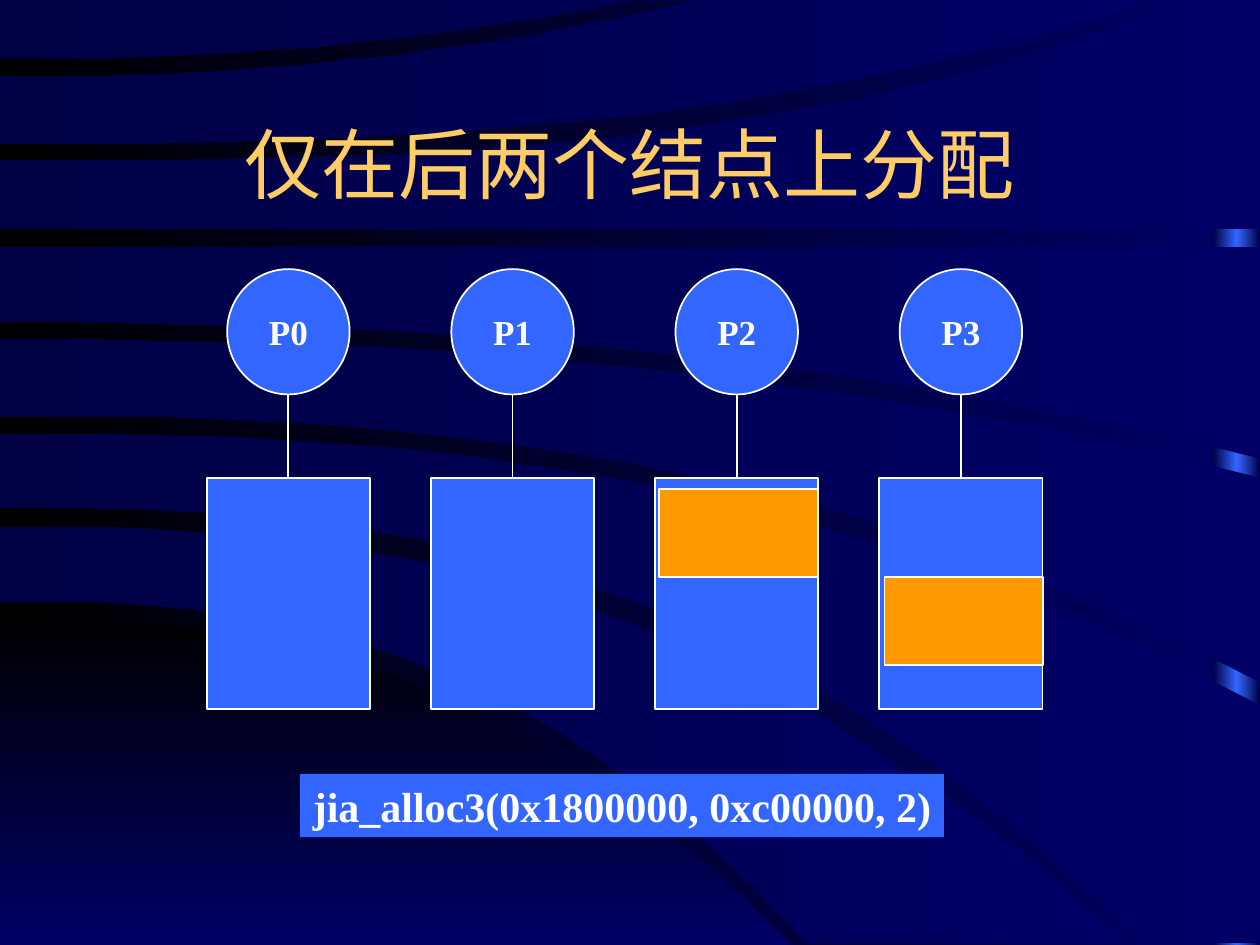
from copy import deepcopy
from typing import NamedTuple

from pptx import Presentation
from pptx import util as u
from pptx.dml import color
from pptx.enum import shapes, text
from pptx.oxml import ns, xmlchemy

WIDE, HIGH = 720, 540
NAVY, DUSK, BLACK = "000066", "000044", "000000"
BLUE, GOLD, AMBER, WHITE = "3366FF", "FFCC66", "FF9900", "FFFFFF"
SERIF = "Times New Roman"
STEPS = 16


class Edge(NamedTuple):
    """A curve from the left side, level at first; bow sets how late it bends."""
    start: float
    end: float
    far: float = WIDE
    bow: float = 2.5

    def points(self) -> list:
        rise = self.end - self.start
        return [(self.far * i / STEPS, self.start + rise * (i / STEPS) ** self.bow)
                for i in range(STEPS + 1)]


class Node(NamedTuple):
    name: str
    left: float


class Box(NamedTuple):
    left: float
    top: float
    wide: float
    high: float


def flat(level: float) -> Edge:
    return Edge(level, level)


FLOOR = Edge(354, HIGH, 452)
BANDS = [
    (Edge(301, 539, 643), Edge(343.5, 539, 462, 2.6)),
    (Edge(248, 403), Edge(290, 539, 654, 2.6)),
    (Edge(194, 273, bow=2.3), Edge(237.5, 390)),
    (flat(141), Edge(184, 262, bow=2.3)),
    (Edge(92, 0, 679, 2.9), flat(131)),
    (Edge(44, 0, 400, 2.2), Edge(82, 0, 660, 2.7)),
    (flat(0), Edge(34, 0, 361, 2.2)),
]

NODES = [Node(f"P{i}", 118.2 + 128.1 * i) for i in range(4)]
BLOCKS = [Box(376.4 + 129 * i, 279.3 + 50.4 * i, 90.8, 50.4) for i in range(2)]


def rgb(code: str) -> color.RGBColor:
    return color.RGBColor.from_string(code)


def blend(fill, root, codes: list, angle: int) -> None:
    """Give evenly spaced gradient stops to the fill held in root."""
    fill.gradient()
    fill.gradient_angle = angle
    stops = root.find(".//" + ns.qn("a:gsLst"))
    while len(stops) < len(codes):
        stops.append(deepcopy(stops[0]))
    for i, (stop, code) in enumerate(zip(fill.gradient_stops, codes)):
        stop.color.rgb = rgb(code)
        stop.position = i / (len(codes) - 1)


def draw_area(slide, points: list, codes: list, angle: int) -> None:
    first, *rest = points
    pen = slide.shapes.build_freeform(*first, scale=u.Pt(1))
    pen.add_line_segments(rest, close=True)
    shape = pen.convert_to_shape()
    shape.shadow.inherit = False
    shape.line.fill.background()
    blend(shape.fill, shape._element.spPr, codes, angle)


def draw_band(slide, top: Edge, low: Edge) -> None:
    points = top.points()
    under = low.points()
    if low.end == HIGH - 1 and low.far < top.far == WIDE:
        under.append((WIDE, low.end))  # run along the bottom to the right side
    if top.end == 0 and low.far == WIDE:
        points.append((WIDE, 0))  # run along the top to the right side
    draw_area(slide, points + under[::-1], [NAVY, DUSK], 180)


def draw_shape(slide, kind, box: Box, code: str, edge: bool = True):
    shape = slide.shapes.add_shape(kind, *map(u.Pt, box))
    shape.shadow.inherit = False
    shape.fill.solid()
    shape.fill.fore_color.rgb = rgb(code)
    if edge:
        shape.line.color.rgb = rgb(WHITE)
        shape.line.width = u.Pt(1)
    else:
        shape.line.fill.background()
    return shape


def write(shape, words: str, size: int, font: str, code: str, bold: bool) -> None:
    frame = shape.text_frame
    frame.text = words
    frame.vertical_anchor = text.MSO_ANCHOR.MIDDLE
    line = frame.paragraphs[0]
    line.alignment = text.PP_ALIGN.CENTER
    face = line.runs[0].font
    face.size, face.name, face.bold = u.Pt(size), font, bold
    face.color.rgb = rgb(code)


def label(shape, words: str, size: int) -> None:
    write(shape, words, size, SERIF, WHITE, True)
    shape.text_frame.word_wrap = False


def draw_node(slide, node: Node) -> None:
    """Draw a processor, its memory and the line between them."""
    kind = shapes.MSO_SHAPE
    disc = Box(node.left + 11.6, 153.8, 70, 71.6)
    store = Box(node.left, 273.3, 93.2, 131.8)
    label(draw_shape(slide, kind.OVAL, disc, BLUE), node.name, 20)
    memory = draw_shape(slide, kind.RECTANGLE, store, BLUE)
    mid = u.Pt(store.left + store.wide / 2)
    link = slide.shapes.add_connector(
        shapes.MSO_CONNECTOR.STRAIGHT, mid, u.Pt(disc.top + disc.high),
        mid, u.Pt(store.top))
    link.end_connect(memory, 0)
    link.line.color.rgb = rgb(WHITE)
    link.line.width = u.Pt(1)
    link._element.spPr.append(xmlchemy.OxmlElement("a:effectLst"))


def draw_back(slide) -> None:
    blend(slide.background.fill, slide._element, [NAVY, BLACK], 180)
    strip = draw_shape(slide, shapes.MSO_SHAPE.RECTANGLE,
                       Box(693.4, 0, WIDE - 693.4, HIGH), BLUE, edge=False)
    blend(strip.fill, strip._element.spPr, [DUSK, BLUE, DUSK], 180)
    draw_area(slide, FLOOR.points() + [(0, HIGH)], [BLACK, NAVY], 270)
    for top, low in BANDS:
        draw_band(slide, top, low)


def main() -> None:
    deck = Presentation()
    deck.slide_width, deck.slide_height = u.Pt(WIDE), u.Pt(HIGH)
    slide = deck.slides.add_slide(deck.slide_layouts[5])
    draw_back(slide)

    title = slide.shapes.title
    title.left, title.top, title.width, title.height = map(u.Pt, (54, 48, 612, 90))
    write(title, "仅在后两个结点上分配", 44, "Comic Neue", GOLD, False)
    slide.shapes._spTree.append(title._element)  # in front of the bands

    for node in NODES:
        draw_node(slide, node)
    rect = shapes.MSO_SHAPE.RECTANGLE
    call = draw_shape(slide, rect, Box(171.4, 442.2, 368, 36.2), BLUE, edge=False)
    label(call, "jia_alloc3(0x1800000, 0xc00000, 2)", 24)
    for block in BLOCKS:
        draw_shape(slide, rect, block, AMBER)
    deck.save("out.pptx")


if __name__ == "__main__":
    main()
